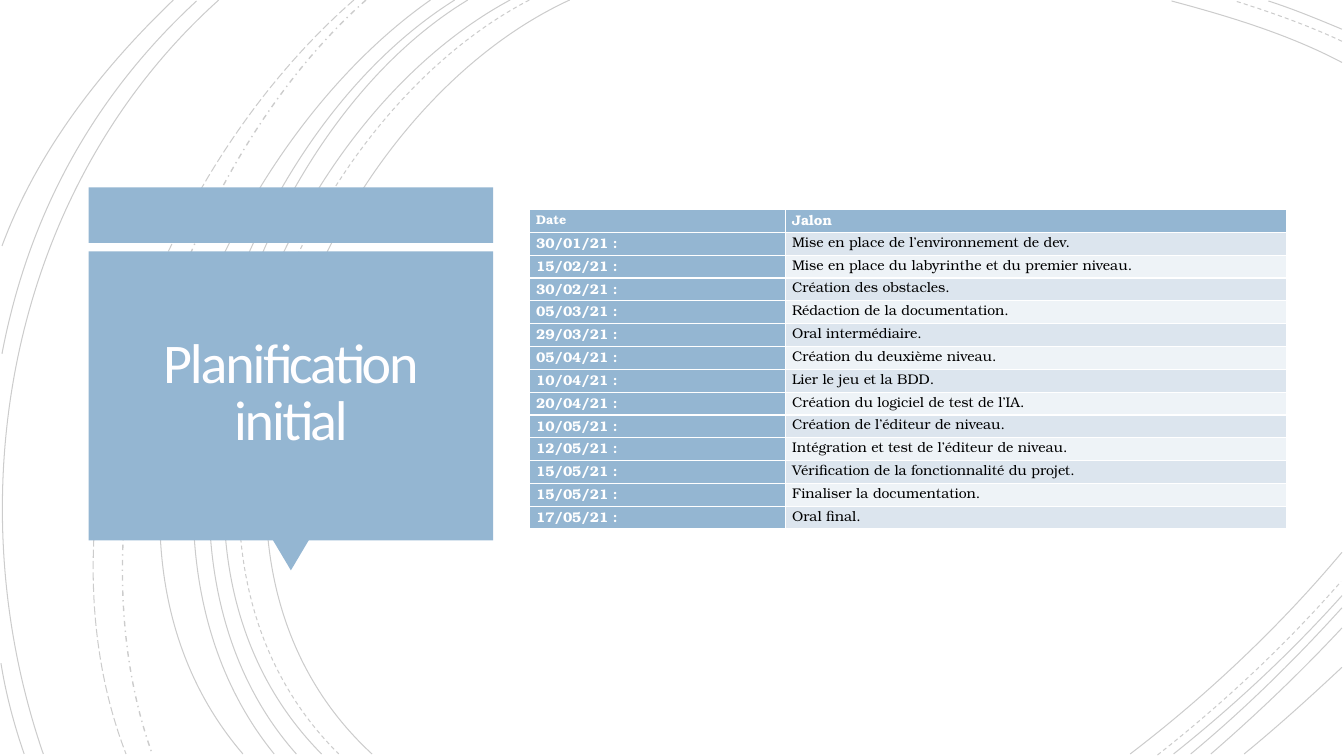
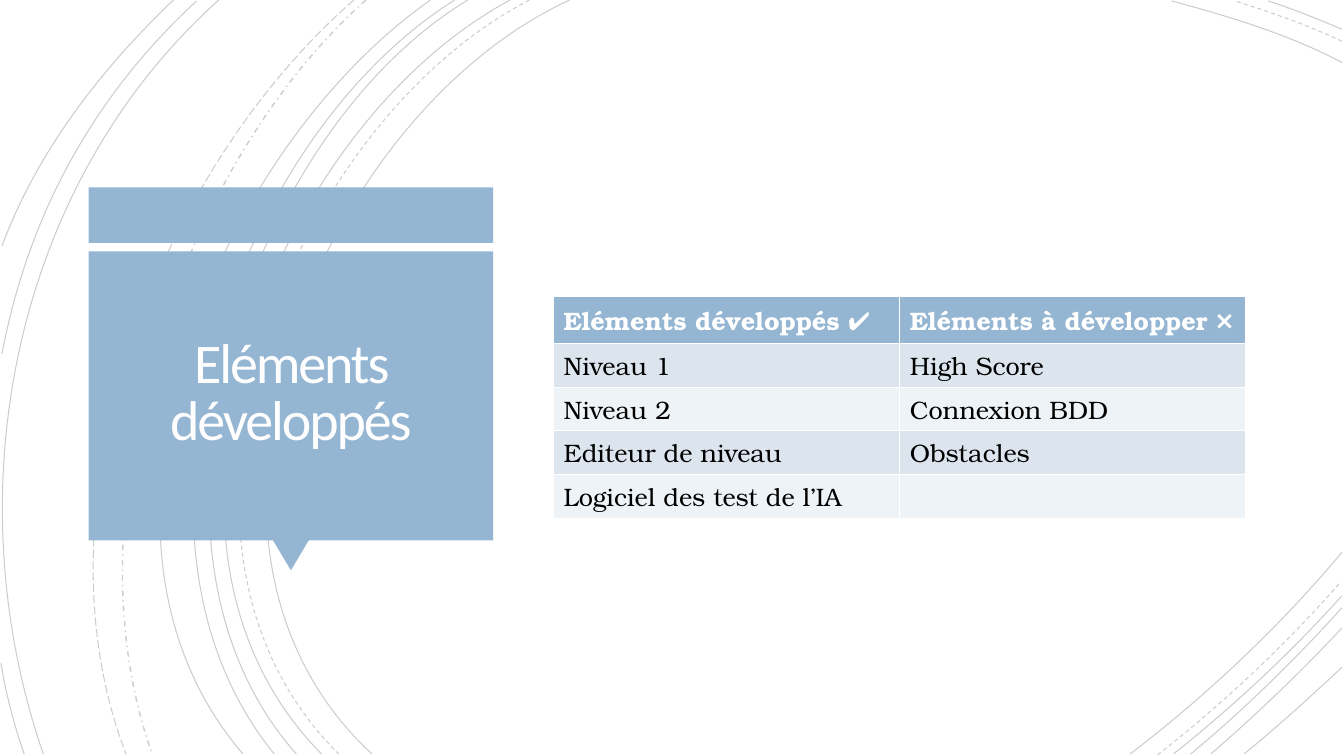
from dataclasses import dataclass
from itertools import product

from lxml.etree import SubElement
from pptx import Presentation
from pptx.dml.color import RGBColor
from pptx.enum.dml import MSO_LINE
from pptx.enum.shapes import MSO_SHAPE
from pptx.enum.text import MSO_ANCHOR, PP_ALIGN
from pptx.oxml.ns import qn
from pptx.util import Emu, Inches, Pt

WIDTH, HEIGHT = 13.33, 7.5
COLUMNS, ROWS = 32, 18
BLUE, WHITE, TITLE_WHITE, BLACK = "94B6D2", "FFFFFF", "FFFEFF", "000000"
BANDS = ("DCE5EE", "EEF3F7")
TITLE_FONT, TABLE_FONT = "Calibri", "TeX Gyre Bonum"

SOLID, DASH = MSO_LINE.SOLID, MSO_LINE.DASH
CURVES = [
    (SOLID, (5.65, 0), (3.15, 1.15), (1.43, 5.4), (3.69, 7.48)),
    (SOLID, (13.31, 0.62), (12.78, 0.34), (12.18, 0.16), (11.62, 0.01)),
    (SOLID, (11.21, 7.48), (11.97, 6.9), (12.69, 6.22), (13.31, 5.48)),
    (DASH, (5.25, 0), (2.85, 1.25), (1.23, 5.37), (3.36, 7.48)),
    (DASH, (13.31, 0.41), (12.97, 0.25), (12.6, 0.12), (12.25, 0.01)),
    (DASH, (11.48, 7.49), (12.13, 6.98), (12.75, 6.4), (13.3, 5.77)),
    (SOLID, (5.06, 0), (2.7, 1.27), (1.1, 5.37), (3.19, 7.48)),
    (SOLID, (13.31, 0.29), (13.07, 0.19), (12.83, 0.09), (12.58, 0.01)),
    (SOLID, (11.64, 7.48), (12.23, 7.01), (12.8, 6.48), (13.31, 5.91)),
    (SOLID, (4.64, 0), (2.44, 1.33), (1.1, 5.41), (2.94, 7.48)),
    (SOLID, (11.81, 7.48), (12.34, 7.04), (12.84, 6.55), (13.31, 6.03)),
    (SOLID, (4.51, 0), (2.31, 1.38), (0.97, 5.33), (2.72, 7.48)),
    (SOLID, (12.01, 7.48), (12.46, 7.09), (12.9, 6.67), (13.31, 6.23)),
    (SOLID, (4.27, 0), (2.17, 1.47), (0.53, 5.29), (2.41, 7.48)),
    (SOLID, (12.34, 7.48), (12.67, 7.21), (12.99, 6.92), (13.31, 6.62)),
    (MSO_LINE.DASH_DOT, (3.63, 0), (1.76, 1.66), (0.65, 5.09), (1.51, 7.48)),
    (MSO_LINE.LONG_DASH, (3.51, 0), (1.57, 1.69), (0.29, 4.99), (1.25, 7.48)),
    (SOLID, (2.17, 0), (0.11, 1.85), (-0.46, 4.9), (0.43, 7.48)),
    (SOLID, (1.95, 0.01), (0.92, 0.96), (0.28, 2.14), (0.02, 3.51)),
    (SOLID, (0.01, 6.58), (0.06, 6.89), (0.14, 7.19), (0.24, 7.48)),
    (SOLID, (1.72, 0), (1, 0.69), (0.37, 1.5), (0.02, 2.44)),
]

MILESTONES = [
    ("30/01/21", "Mise en place de l’environnement de dev."),
    ("15/02/21", "Mise en place du labyrinthe et du premier niveau."),
    ("30/02/21", "Création des obstacles."),
    ("05/03/21", "Rédaction de la documentation."),
    ("29/03/21", "Oral intermédiaire."),
    ("05/04/21", "Création du deuxième niveau."),
    ("10/04/21", "Lier le jeu et la BDD."),
    ("20/04/21", "Création du logiciel de test de l’IA."),
    ("10/05/21", "Création de l’éditeur de niveau."),
    ("12/05/21", "Intégration et test de l’éditeur de niveau."),
    ("15/05/21", "Vérification de la fonctionnalité du projet."),
    ("15/05/21", "Finaliser la documentation."),
    ("17/05/21", "Oral final."),
]
FEATURES = [
    ("Niveau 1", "High Score"),
    ("Niveau 2", "Connexion BDD"),
    ("Editeur de niveau", "Obstacles"),
    ("Logiciel des test de l’IA", ""),
]


@dataclass
class Box:
    """An area in columns and rows of the slide grid."""

    left: float
    top: float
    width: float
    height: float

    def inner(self, left, top, width, height):
        """Return an area whose sides are shares of this one."""
        return Box(self.left + left * self.width, self.top + top * self.height,
                   width * self.width, height * self.height)

    def lengths(self):
        """Return left, top, width and height as slide lengths."""
        column, row = WIDTH / COLUMNS, HEIGHT / ROWS
        return (Inches(self.left * column), Inches(self.top * row),
                Inches(self.width * column), Inches(self.height * row))


SLIDE = Box(0, 0, COLUMNS, ROWS)
PANEL = Box(2.11, 4.46, 9.63, 9.12)
TITLE = Box(2.33, 6.17, 9.19, 6.46)


def color(value):
    """Turn a hex string into a colour."""
    return RGBColor.from_string(value)


def bend(curve):
    """Turn the three straight segments of an outline into one Bézier curve."""
    segments = list(curve.element.iter(qn("a:lnTo")))
    outline = segments[0].getparent()
    bezier = SubElement(outline, qn("a:cubicBezTo"))
    for segment in segments:
        bezier.append(segment[0])
        outline.remove(segment)


def draw_curves(page, box):
    """Draw the thin swirling lines over the box."""
    left, top, width, height = box.lengths()
    group = page.shapes.add_group_shape()
    for dash, *controls in CURVES:
        points = [(left + x / WIDTH * width, top + y / HEIGHT * height)
                  for x, y in controls]
        builder = group.shapes.build_freeform(*points[0])
        builder.add_line_segments(points[1:], close=False)
        curve = builder.convert_to_shape()
        bend(curve)
        curve.shadow.inherit = False
        curve.fill.background()
        curve.line.color.rgb = color(BLACK)
        curve.line.width = Pt(1 if dash == MSO_LINE.DASH_DOT else 0.75)
        curve.line.dash_style = dash
        ink = curve.element.spPr.find(f"{qn('a:ln')}//{qn('a:srgbClr')}")
        SubElement(ink, qn("a:alpha"), val="20000")
    return group


def draw_panel(page, box):
    """Draw the band, the pointer and the title block inside the box."""
    parts = [
        (MSO_SHAPE.RECTANGLE, box.inner(0, 0, 1, 0.145), 0),
        (MSO_SHAPE.ISOSCELES_TRIANGLE, box.inner(0.455, 0.92, 0.09, 0.08), 180),
        (MSO_SHAPE.RECTANGLE, box.inner(0, 0.167, 1, 0.755), 0),
    ]
    group = page.shapes.add_group_shape()
    for kind, area, rotation in parts:
        part = group.shapes.add_shape(kind, *area.lengths())
        part.rotation = rotation
        part.shadow.inherit = False
        part.fill.solid()
        part.fill.fore_color.rgb = color(BLUE)
        part.line.fill.background()
    return group


def prepare_layout(layout, page):
    """Put the shared drawing and the title position on the layout."""
    groups = [draw_curves(page, SLIDE), draw_panel(page, PANEL)]
    tree = layout.shapes.element
    for group in groups:
        tree.append(group.element)
    for number, properties in enumerate(tree.iter(qn("p:cNvPr")), start=1):
        properties.set("id", str(number))
    title = next(holder for holder in layout.placeholders
                 if holder.placeholder_format.idx == 0)
    title.left, title.top, title.width, title.height = TITLE.lengths()
    frame = title.text_frame
    frame.vertical_anchor = MSO_ANCHOR.MIDDLE
    frame.margin_left = frame.margin_right = Inches(0.25)
    frame.margin_top = frame.margin_bottom = Inches(0.25)


def write_title(page, text):
    """Fill the title placeholder in the shared title style."""
    frame = page.shapes.title.text_frame
    frame.word_wrap = True
    para = frame.paragraphs[0]
    para.text = text
    para.alignment = PP_ALIGN.CENTER
    para.line_spacing = 0.85
    para.font.name = TITLE_FONT
    para.font.size = Pt(40)
    para.font.color.rgb = color(TITLE_WHITE)
    para._p.pPr.find(qn("a:defRPr")).set("spc", "-150")


def write_cell(cell, content, size, strong):
    """Write a text, or a text and a plain symbol, into a cell."""
    para = cell.text_frame.paragraphs[0]
    para.font.name = TABLE_FONT
    para.font.size = Pt(size)
    para.font.bold = strong
    para.font.color.rgb = color(WHITE if strong else BLACK)
    text, *symbols = [content] if isinstance(content, str) else content
    if text:
        para.add_run().text = text
    for symbol in symbols:
        span = para.add_run()
        span.text = symbol
        span.font.bold = False


def draw_table(page, box, rows, shares, size, strong_column=False, tight=False):
    """Fill the box with a banded table whose first row is the header."""
    frame = page.shapes.add_table(len(rows), len(shares), *box.lengths())
    table = frame.table
    table.first_col = strong_column
    width, height = frame.width, frame.height
    for column, share in zip(table.columns, shares):
        column.width = Emu(int(width * share / sum(shares)))
    for row in table.rows:
        row.height = Emu(height // len(rows))
    for i, j in product(range(len(rows)), range(len(shares))):
        cell = table.cell(i, j)
        strong = i == 0 or (strong_column and j == 0)
        if tight:
            cell.margin_left = cell.margin_right = Inches(0.07)
            cell.margin_top = cell.margin_bottom = 0
        cell.fill.solid()
        cell.fill.fore_color.rgb = color(BLUE if strong else BANDS[(i - 1) % 2])
        write_cell(cell, rows[i][j], size, strong)
    return table


def planning_slide(page):
    """Build the slide with the dated milestones."""
    write_title(page, "Planification\vinitial")
    rows = [("Date", "Jalon")] + [(f"{date} :", goal) for date, goal in MILESTONES]
    table = draw_table(page, Box(12.6, 4.99, 18.04, 7.61), rows, (2.54, 4.98), 10,
                       strong_column=True, tight=True)
    table.cell(0, 0).text_frame.paragraphs[0].font.size = Pt(9)


def features_slide(page):
    """Build the slide with the finished and missing features."""
    write_title(page, "Eléments développés")
    header = (("Eléments développés ", "✔️"), ("Eléments à développer ", "❌"))
    draw_table(page, Box(13.18, 7.06, 16.49, 4.87), [header] + FEATURES, (1, 1), 18)


def main():
    """Build and save the deck."""
    deck = Presentation()
    deck.slide_width, deck.slide_height = Inches(WIDTH), Inches(HEIGHT)
    layout = deck.slide_layouts[5]
    pages = [deck.slides.add_slide(layout) for _ in range(2)]
    prepare_layout(layout, pages[0])
    planning_slide(pages[0])
    features_slide(pages[1])
    deck.save("out.pptx")


if __name__ == "__main__":
    main()
